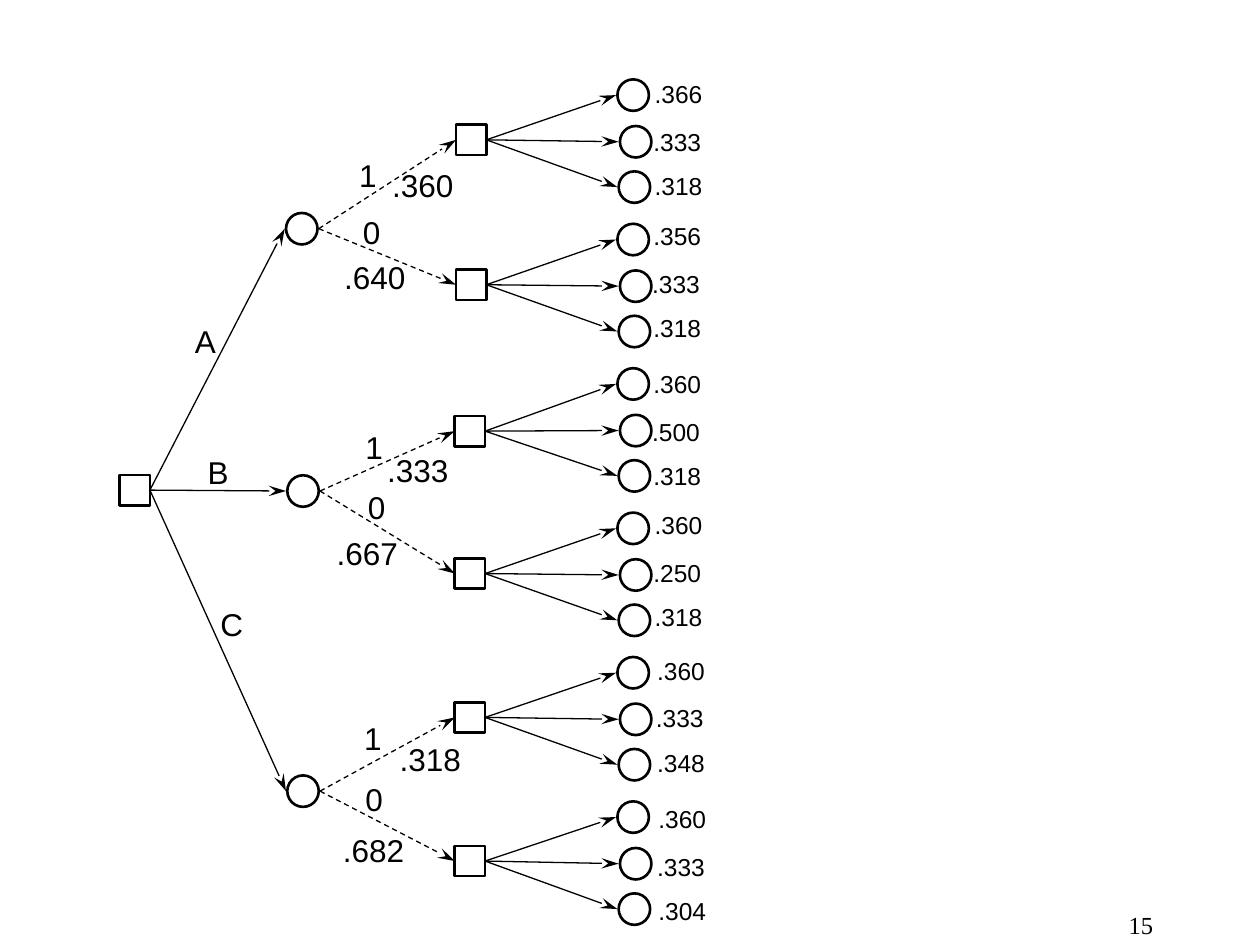
import pptx
import pptx.util
import pptx.dml.color
import pptx.enum.dml
import pptx.enum.shapes
import pptx.enum.text
import pptx.oxml
import pptx.oxml.ns

Inches = pptx.util.Inches
Pt = pptx.util.Pt
SHAPE = pptx.enum.shapes.MSO_SHAPE
ALIGN = pptx.enum.text.PP_ALIGN
INK = "000000"
SQUARE, ROUND = 0.24, 0.25
TOP, PITCH = 0.63, 1.146

STEM = [("A", 0.47, 2.51), ("B", 0.57, 3.55), ("C", 0.68, 4.75)]

FORKS = [
    (2.27, 1.06, [("1", 0.44, 0.56, ".360", 0.73, 0.64, 0.71, 1.35, 0.36),
                  ("0", 0.47, 1.01, ".640", 0.35, 1.37, 0.71, 1.35, 1.51)]),
    (2.28, 0.85, [("1", 0.48, 0.43, ".333", 0.68, 0.61, 0.71, 1.33, 0.38),
                  ("0", 0.50, 0.90, ".667", 0.23, 1.27, 0.81, 1.33, 1.51)]),
    (2.28, 0.94, [("1", 0.47, 0.44, ".318", 0.73, 0.61, 0.81, 1.33, 0.36),
                  ("0", 0.48, 0.93, ".682", 0.28, 1.33, 0.81, 1.33, 1.50)]),
]

FANS = [
    ([".366", ".333", ".318"], 0.01, 0),
    ([".356", ".333", ".318"], 0, -0.02),
    ([".360", ".500", ".318"], 0, 0.01),
    ([".360", ".250", ".318"], 0.01, -0.02),
    ([".360", ".333", ".348"], 0.03, -0.01),
    ([".360", ".333", ".304"], 0.04, 0.02),
]


def tint(code):
    return pptx.dml.color.RGBColor.from_string(code)


def node(slide, kind, left, top, size):
    shape = slide.shapes.add_shape(
        kind, Inches(left), Inches(top), Inches(size), Inches(size))
    shape.shadow.inherit = False
    shape.fill.background()
    shape.line.color.rgb = tint(INK)
    shape.line.width = Pt(1.5)
    return shape


def arrow(slide, start, end, dash=False):
    line = slide.shapes.add_connector(
        pptx.enum.shapes.MSO_CONNECTOR.STRAIGHT,
        *(Inches(n) for n in (*start, *end)))
    line.line.color.rgb = tint(INK)
    line.line.width = Pt(0.75)
    if dash:
        line.line.dash_style = pptx.enum.dml.MSO_LINE.DASH
    tip = pptx.oxml.parse_xml(
        '<a:tailEnd %s type="stealth" w="med" len="lg"/>'
        % pptx.oxml.ns.nsdecls("a"))
    line.line._get_or_add_ln().append(tip)
    line._element.spPr.append(pptx.oxml.parse_xml(
        "<a:effectLst %s/>" % pptx.oxml.ns.nsdecls("a")))
    return line


def label(slide, text, left, top, width, height, size,
          font="Arial", align=ALIGN.CENTER, grow=True):
    box = slide.shapes.add_textbox(
        Inches(left), Inches(top), Inches(width), Inches(height))
    frame = box.text_frame
    frame.word_wrap = True
    if grow:
        frame.auto_size = pptx.enum.text.MSO_AUTO_SIZE.SHAPE_TO_FIT_TEXT
    par = frame.paragraphs[0]
    par.alignment = align
    run = par.add_run()
    run.text = text
    run.font.size = Pt(size)
    run.font.name = font
    run.font.color.rgb = tint(INK)


def draw_stem(slide, left, top, goals):
    root = node(slide, SHAPE.RECTANGLE, left, top, SQUARE)
    start = (left + SQUARE, top + SQUARE / 2)
    for goal, (name, shift, high) in zip(goals, STEM):
        arrow(slide, start, goal).begin_connect(root, 3)
        label(slide, name, left + shift, high, 0.42, 0.4, 18)


def draw_fork(slide, left, top, drop, arms):
    node(slide, SHAPE.OVAL, left, top + drop, ROUND)
    mid = top + drop + ROUND / 2
    leaves = []
    for name, nx, ny, odds, ox, oy, width, sx, sy in arms:
        leaf = node(slide, SHAPE.RECTANGLE, left + sx, top + sy, SQUARE)
        line = arrow(slide, (left + ROUND + 0.01, mid),
                     (left + sx, top + sy + SQUARE / 2), dash=True)
        line.end_connect(leaf, 1)
        label(slide, name, left + nx, top + ny, 0.42, 0.4, 18)
        label(slide, odds, left + ox, top + oy, width, 0.4, 18)
        leaves.append(leaf)
    return leaves, (left - 0.01, mid)


def draw_fan(slide, left, top, leaf, texts, right, down):
    rows = zip(texts, (0, 0.02, 0.01), (0, 0.37, 0.73),
               (0.12, 0.11, 0.12), (-0.05, 0.33, 0.68))
    for text, shift, drop, tx, ty in rows:
        x, y = left + shift, top + drop
        node(slide, SHAPE.OVAL, x, y, ROUND)
        line = arrow(slide, (left - 1.05, top + 0.49),
                     (x - 0.01, y + ROUND / 2))
        line.begin_connect(leaf, 3)
        label(slide, text, left + tx + right, top + ty + down,
              0.71, 0.33, 14)


def main():
    deck = pptx.Presentation()
    deck.slide_width, deck.slide_height = Inches(10), Inches(7.5)
    slide = deck.slides.add_slide(deck.slide_layouts[6])
    leaves, goals = [], []
    for i, (left, drop, arms) in enumerate(FORKS):
        pair, goal = draw_fork(slide, left, TOP + 2 * i * PITCH, drop, arms)
        leaves += pair
        goals.append(goal)
    draw_stem(slide, 0.95, 3.77, goals)
    for i, (leaf, fan) in enumerate(zip(leaves, FANS)):
        draw_fan(slide, 4.9, TOP + i * PITCH, leaf, *fan)
    label(slide, "15", 7.17, 7.17, 2.08, 0.5, 14,
          "Times New Roman", ALIGN.RIGHT, False)
    deck.save("out.pptx")


if __name__ == "__main__":
    main()
